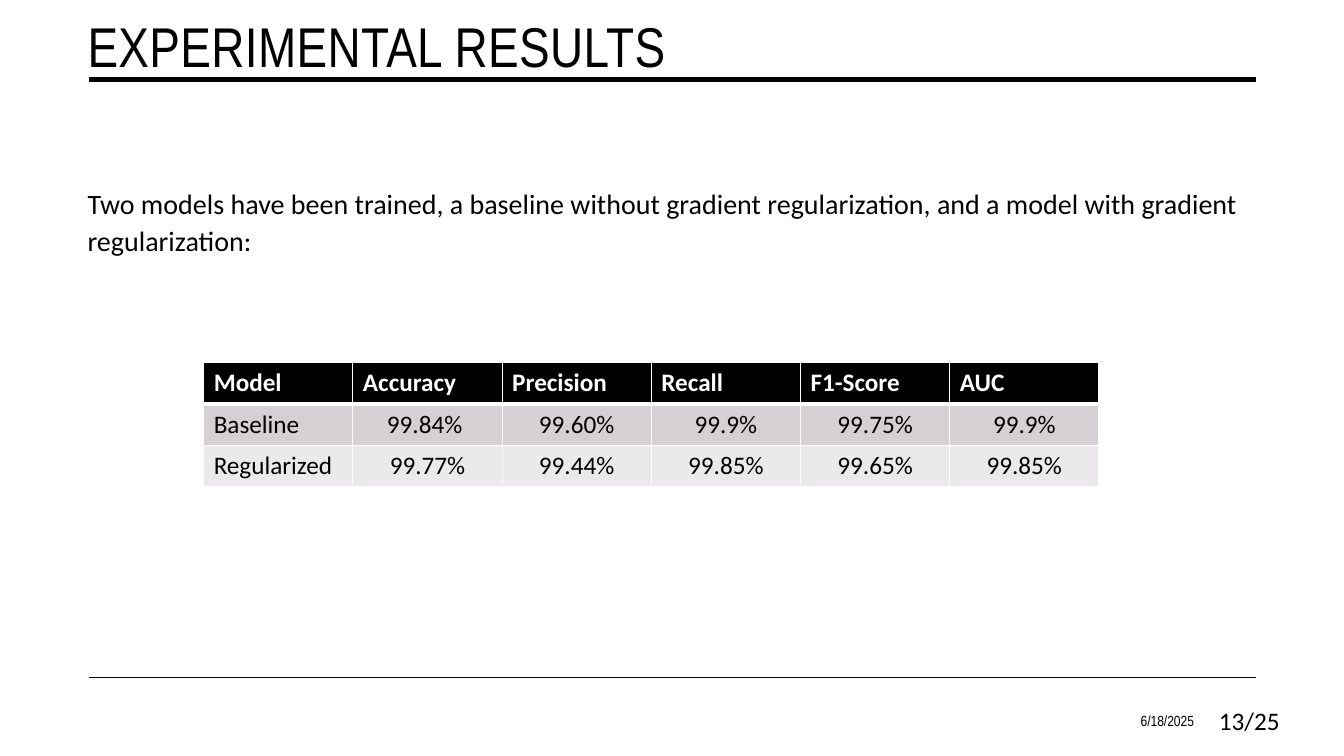
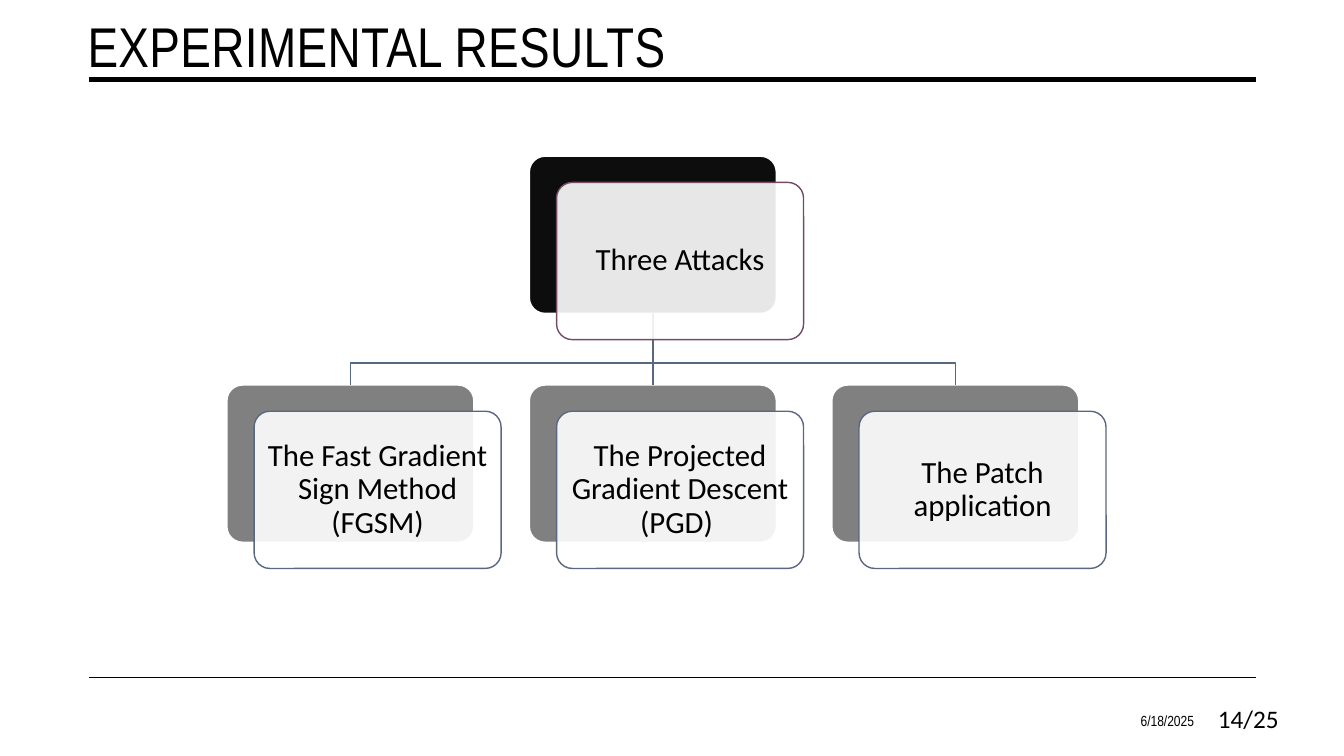
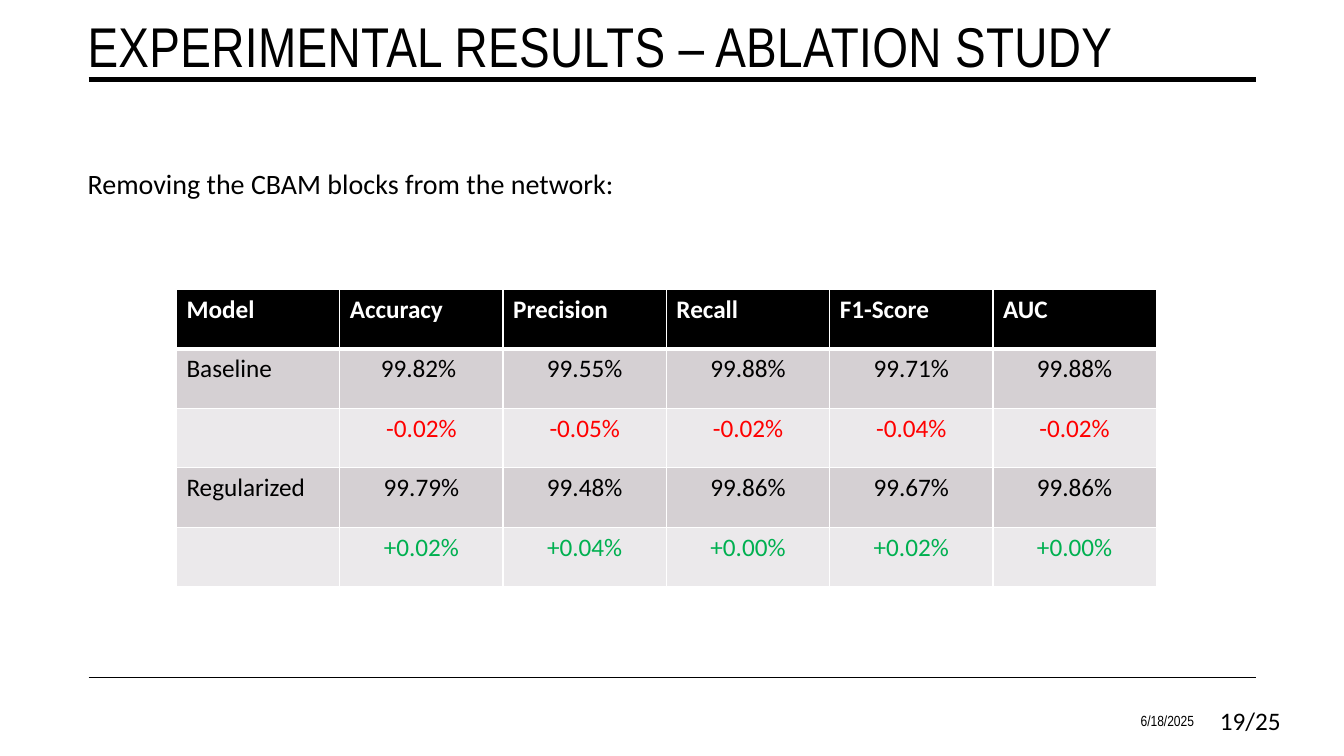
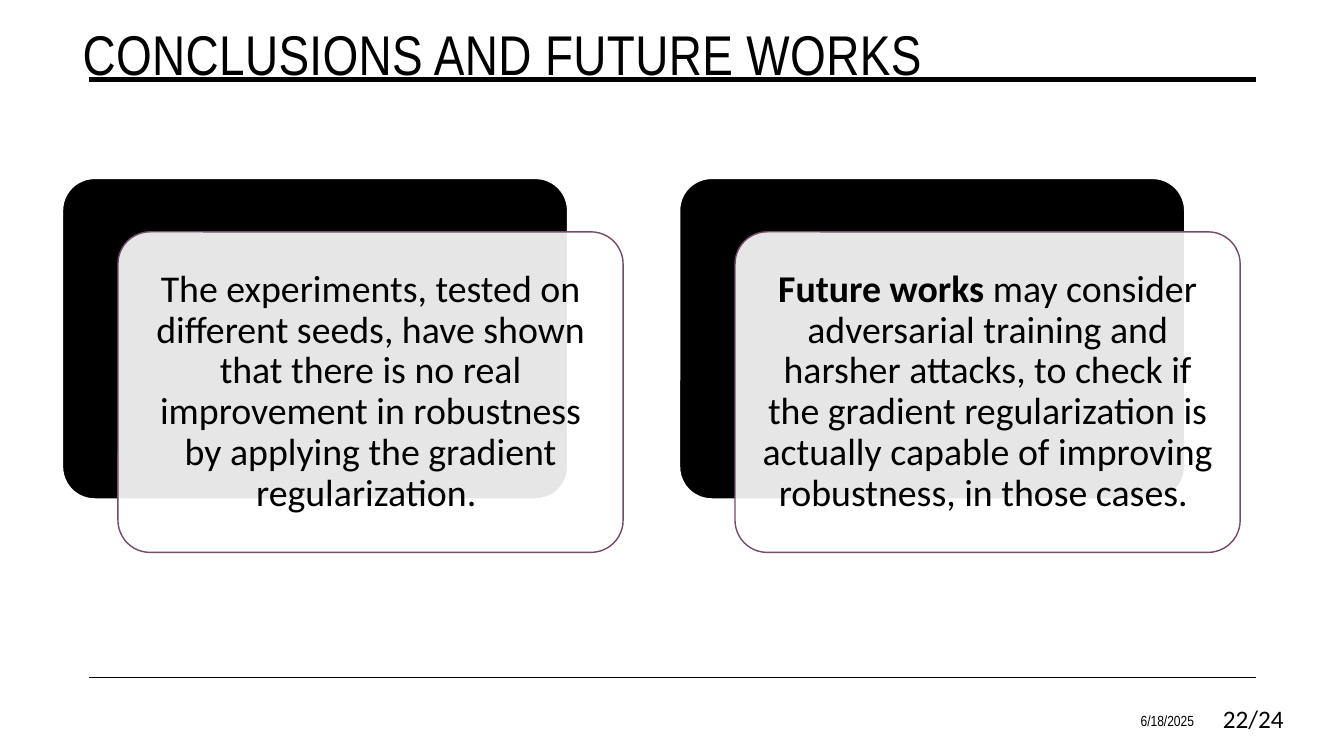
from lxml import etree
from pptx import Presentation
from pptx.dml.color import RGBColor
from pptx.enum.shapes import MSO_CONNECTOR, MSO_SHAPE
from pptx.enum.text import MSO_ANCHOR, PP_ALIGN
from pptx.oxml.ns import qn
from pptx.util import Inches, Pt

LEFT, CENTER, RIGHT = PP_ALIGN.LEFT, PP_ALIGN.CENTER, PP_ALIGN.RIGHT
TOP, MIDDLE = MSO_ANCHOR.TOP, MSO_ANCHOR.MIDDLE
STRAIGHT, ROUNDED = MSO_CONNECTOR.STRAIGHT, MSO_SHAPE.ROUNDED_RECTANGLE

COLORS = {
    "black": "000000",
    "white": "FFFFFF",
    "charcoal": "0D0D0D",
    "gray": "808080",
    "band_dark": "D5D0D3",
    "band_light": "EBE9EB",
    "plum": "734B67",
    "slate": "596781",
    "loss": "FF0000",
    "gain": "00B050",
}
TITLE = {"name": "Arial Narrow", "size": Pt(40)}
DATE = {"name": "Arial Narrow", "size": Pt(10.5)}
BODY = {"name": "Calibri", "size": Pt(20)}
SMALL = {"name": "Calibri", "size": Pt(18)}
BRANCH = {"name": "Calibri", "size": Pt(22)}
CONCLUSION = {"name": "Calibri", "size": Pt(27)}

RULES = [(0.79, 3.5), (6.72, 1)]
DATE_TEXT = "6/18/2025"
HEADER = ["Model", "Accuracy", "Precision", "Recall", "F1-Score", "AUC"]

RESULTS = {
    "title": "EXPERIMENTAL RESULTS",
    "number": "13/25",
    "number_width": 0.85,
    "intro": "Two models have been trained, a baseline without gradient regularization, "
             "and a model with gradient regularization:",
    "intro_top": 1.77,
    "place": (2.02, 3.6),
    "column": 1.48,
    "row": 0.41,
    "rows": [
        ["Baseline", "99.84% ", "99.60%", "99.9%", "99.75%", "99.9%"],
        ["Regularized", "99.77%", "99.44%", "99.85%", "99.65%", "99.85%"],
    ],
}
ABLATION = {
    "title": "EXPERIMENTAL RESULTS – ABLATION STUDY",
    "number": "19/25",
    "number_width": 0.86,
    "intro": "Removing the CBAM blocks from the network:",
    "intro_top": 1.57,
    "place": (1.75, 2.87),
    "column": 1.62,
    "row": 0.59,
    "rows": [
        ["Baseline", "99.82% ", "99.55%", "99.88%", "99.71%", "99.88%"],
        ["", "-0.02%", "-0.05%", "-0.02%", "-0.04%", "-0.02%"],
        ["Regularized", "99.79%", "99.48%", "99.86%", "99.67%", "99.86%"],
        ["", "+0.02%", "+0.04%", "+0.00%", "+0.02%", "+0.00%"],
    ],
}
ROOT = "Three Attacks"
ATTACKS = [
    "The\u00a0Fast Gradient Sign Method (FGSM)",
    "The Projected Gradient Descent (PGD) ",
    "The Patch application",
]
CONCLUSIONS = [
    [("The experiments, tested on different seeds, have shown that there is no real "
      "improvement in robustness by applying the gradient regularization. ", False)],
    [("Future works ", True),
     ("may consider adversarial training and harsher attacks, to check if the gradient "
      "regularization is actually capable of improving robustness, in those cases. ", False)],
]


def rgb(name):
    return RGBColor.from_string(COLORS[name])


def write(frame, spans, font, color="black", align=LEFT, spacing=None):
    para = frame.paragraphs[0]
    para.alignment = align
    if spacing:
        para.line_spacing = spacing
    for text, bold in spans:
        span = para.add_run()
        span.text = text
        for key, value in {**font, "bold": bold}.items():
            setattr(span.font, key, value)
        span.font.color.rgb = rgb(color)
    return para


def add_text(page, place, text, font, align=LEFT, anchor=TOP, spacing=None):
    frame = page.shapes.add_textbox(*map(Inches, place)).text_frame
    frame.word_wrap = True
    frame.vertical_anchor = anchor
    return write(frame, [(text, False)], font, align=align, spacing=spacing)


def style_line(shape, color, width):
    shape.line.color.rgb = rgb(color)
    shape.line.width = Pt(width)


def add_line(page, start, end, color, width):
    line = page.shapes.add_connector(STRAIGHT, *map(Inches, start + end))
    style_line(line, color, width)
    etree.SubElement(line._element.spPr, qn("a:effectLst"))
    return line


def add_page(deck, title, number, number_width, title_place=(0.77, 0.07), spacing=None):
    page = deck.slides.add_slide(deck.slide_layouts[6])
    heading = add_text(page, (*title_place, 11.69, 0.8), title, TITLE)
    heading.runs[0].font._element.set("spc", "30")
    for top, width in RULES:
        add_line(page, (0.88, top), (12.46, top), "black", width)
    add_text(page, (9.15, 6.95, 2.79, 0.4), DATE_TEXT, DATE, RIGHT, MIDDLE)
    add_text(page, (11.94, 6.95, number_width, 0.4), number, SMALL, RIGHT, MIDDLE, spacing)
    return page


def add_border(cell, side, width):
    line = etree.SubElement(cell._tc.get_or_add_tcPr(), qn(f"a:{side}"), w=str(Pt(width)))
    fill = etree.SubElement(line, qn("a:solidFill"))
    etree.SubElement(fill, qn("a:srgbClr"), val=COLORS["white"])


def cell_style(row, column, text):
    if row == 0:
        return "black", "white", LEFT
    band = "band_dark" if row % 2 else "band_light"
    color = {"-": "loss", "+": "gain"}.get(text[:1], "black")
    return band, color, CENTER if column else LEFT


def add_table_page(deck, data):
    page = add_page(deck, data["title"], data["number"], data["number_width"])
    add_text(page, (0.77, data["intro_top"], 11.69, 1), data["intro"], BODY, spacing=1.1)
    rows = [HEADER] + data["rows"]
    size = (data["column"] * len(HEADER), data["row"] * len(rows))
    table = page.shapes.add_table(
        len(rows), len(HEADER), *map(Inches, data["place"] + size)).table
    table.first_row = table.horz_banding = False
    for r, row in enumerate(rows):
        for c, text in enumerate(row):
            cell = table.cell(r, c)
            fill, color, align = cell_style(r, c, text)
            for side in ("lnL", "lnR", "lnT", "lnB"):
                thick = (r, side) in ((0, "lnB"), (1, "lnT"))
                add_border(cell, side, 3 if thick else 1)
            cell.fill.solid()
            cell.fill.fore_color.rgb = rgb(fill)
            if text:
                write(cell.text_frame, [(text, r == 0)], SMALL, color, align)


def add_card(page, place, size, fill, line):
    card = page.shapes.add_shape(ROUNDED, *map(Inches, place + size))
    card.adjustments[0] = 0.1
    card.shadow.inherit = False
    card.fill.solid()
    card.fill.fore_color.rgb = rgb(fill)
    style_line(card, line, 1)
    return card


def add_front(page, place, size, spans, font, line, inset):
    card = add_card(page, place, size, "white", line)
    color = card._element.spPr.find(qn("a:solidFill"))[0]
    etree.SubElement(color, qn("a:alpha"), val="90000")
    frame = card.text_frame
    frame.word_wrap = True
    frame.vertical_anchor = MIDDLE
    for side in ("left", "right", "top", "bottom"):
        setattr(frame, f"margin_{side}", Inches(inset))
    write(frame, spans, font, align=CENTER, spacing=0.9)


def add_branch(page, points):
    (left, top), *rest = [tuple(map(Inches, point)) for point in points]
    builder = page.shapes.build_freeform(left, top)
    builder.add_line_segments(rest, close=False)
    branch = builder.convert_to_shape()
    branch.shadow.inherit = False
    branch.fill.background()
    style_line(branch, "slate", 1)


def add_attacks_page(deck):
    page = add_page(deck, RESULTS["title"], "14/25", 0.84, spacing=0.9)
    width, height = size = (2.45, 1.56)
    shift = (0.27, 0.26)
    root_top, child_top, bend = 1.55, 3.82, 3.6
    lefts = [2.25 + 3 * i for i in range(len(ATTACKS))]
    root_left = lefts[1]
    center, bottom = root_left + width / 2, root_top + height

    root = add_card(page, (root_left, root_top), size, "charcoal", "white")
    for left in lefts:
        child = add_card(page, (left, child_top), size, "gray", "white")
        middle = left + width / 2
        if left == root_left:
            trunk = add_line(page, (center, bottom), (center, child_top), "slate", 1)
            trunk.begin_connect(root, 2)
            trunk.end_connect(child, 0)
        else:
            add_branch(page, [(center, bottom), (center, bend), (middle, bend), (middle, child_top)])

    fronts = [(ROOT, root_left, root_top, "plum")]
    fronts += [(text, left, child_top, "slate") for text, left in zip(ATTACKS, lefts)]
    for text, left, top, line in fronts:
        place = (left + shift[0], top + shift[1])
        add_front(page, place, size, [(text, False)], BRANCH, line, 0.09)


def add_conclusions_page(deck):
    page = add_page(deck, "CONCLUSIONS AND FUTURE WORKS", "22/24", 0.89, (0.72, 0.14), 0.9)
    size = (5.01, 3.18)
    for i, spans in enumerate(CONCLUSIONS):
        left, top = 0.62 + 6.12 * i, 1.77
        add_card(page, (left, top), size, "black", "white")
        add_front(page, (left + 0.55, top + 0.53), size, spans, CONCLUSION, "plum", 0.11)


def main():
    deck = Presentation()
    deck.slide_width, deck.slide_height = Inches(13.33), Inches(7.5)
    add_table_page(deck, RESULTS)
    add_attacks_page(deck)
    add_table_page(deck, ABLATION)
    add_conclusions_page(deck)
    deck.save("out.pptx")


if __name__ == "__main__":
    main()
